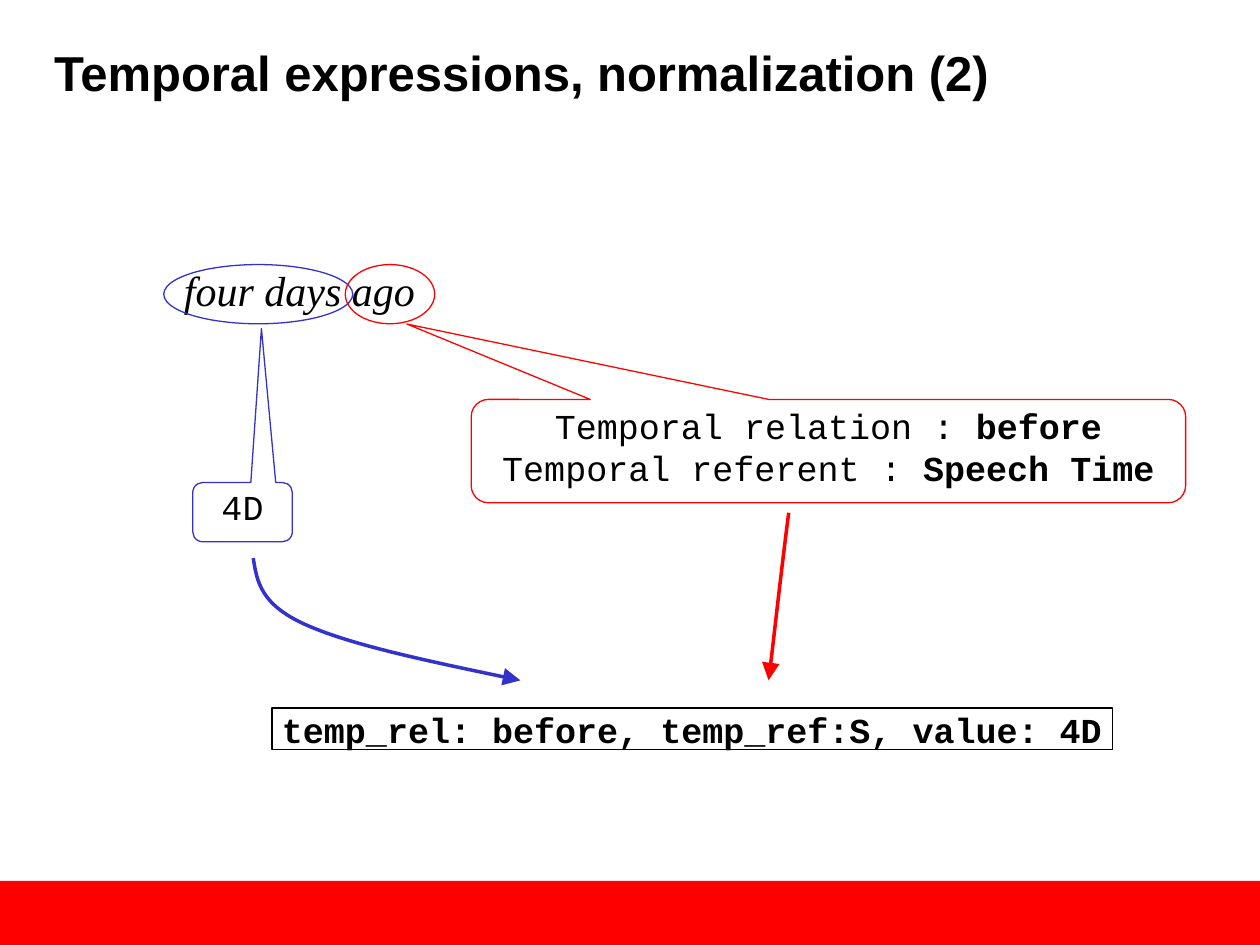
from lxml import etree
from pptx import Presentation
from pptx.dml.color import RGBColor
from pptx.enum.shapes import MSO_SHAPE as Shape
from pptx.enum.text import MSO_ANCHOR as Anchor, PP_ALIGN as Align
from pptx.oxml.ns import qn
from pptx.util import Inches, Pt

BLACK = RGBColor(0x00, 0x00, 0x00)
RED = RGBColor(0xFF, 0x00, 0x00)
BLUE = RGBColor(0x33, 0x33, 0xCC)


def write_text(frame, paragraphs, font="Courier New", size=20, bold=False,
               italic=False, align=Align.CENTER, margins=(0, 0)):
    """Each paragraph is a list of (text, is_bold) pairs or a plain string."""
    frame.word_wrap = True
    frame.vertical_anchor = Anchor.TOP
    frame.margin_left = frame.margin_right = Inches(margins[0])
    frame.margin_top = frame.margin_bottom = Inches(margins[1])
    for index, parts in enumerate(paragraphs):
        para = frame.paragraphs[0] if index == 0 else frame.add_paragraph()
        para.alignment = align
        if isinstance(parts, str):
            parts = [(parts, bold)]
        for text, is_bold in parts:
            span = para.add_run()
            span.text = text
            span.font.name = font
            span.font.size = Pt(size)
            span.font.bold = is_bold
            span.font.italic = italic
            span.font.color.rgb = BLACK


def add_outline(page, kind, box, color, adjustments=()):
    shape = page.shapes.add_shape(kind, *map(Inches, box))
    shape.shadow.inherit = False
    shape.fill.background()
    shape.line.color.rgb = color
    shape.line.width = Pt(0.75)
    for index, value in enumerate(adjustments):
        shape.adjustments[index] = value
    return shape


def add_curved_arrow(page, points, color):
    """Draw Bezier segments: a start point, then three points per segment."""
    points = [(Inches(x), Inches(y)) for x, y in points]
    builder = page.shapes.build_freeform(*points[0])
    builder.add_line_segments(points[1:], close=False)
    arrow = builder.convert_to_shape()
    arrow.shadow.inherit = False
    arrow.fill.background()
    arrow.line.color.rgb = color
    arrow.line.width = Pt(2)

    # Turn every three straight segments into one cubic curve
    outline = arrow._element.find(".//" + qn("a:path"))
    steps = outline.findall(qn("a:lnTo"))
    for first in range(0, len(steps), 3):
        curve = etree.SubElement(outline, qn("a:cubicBezTo"))
        for step in steps[first:first + 3]:
            curve.append(step[0])
            outline.remove(step)

    line = arrow.line._get_or_add_ln()
    etree.SubElement(line, qn("a:tailEnd"), type="triangle", w="lg", len="lg")


def add_title(page, box):
    title = page.shapes.title
    title.left, title.top, title.width, title.height = map(Inches, box)
    write_text(title.text_frame, ["Temporal expressions, normalization (2)"],
               font="Arial", size=28, bold=True, align=Align.LEFT,
               margins=(0.1, 0.05))
    title.text_frame.paragraphs[0].line_spacing = 0.93


def add_footer_bar(page, box):
    bar = add_outline(page, Shape.RECTANGLE, box, RED)
    bar.fill.solid()
    bar.fill.fore_color.rgb = RED
    bar.line.fill.background()


def add_expression(page, box):
    left, top, width, height = box
    # The text box is slightly wider than the phrase, to keep it on one line
    phrase = page.shapes.add_textbox(
        Inches(left + 0.16), Inches(top), Inches(1.9), Inches(0.4))
    write_text(phrase.text_frame, ["four days ago"], font="Times New Roman",
               size=24, italic=True, align=Align.LEFT)
    # Overlapping ellipses around the duration and the direction
    add_outline(page, Shape.OVAL, (left, top, 1.5, height), BLUE)
    add_outline(page, Shape.OVAL, (left + width - 0.71, top, 0.71, height), RED)


def add_callout(page, box, color, pointer, paragraphs):
    callout = add_outline(page, Shape.ROUNDED_RECTANGULAR_CALLOUT, box, color,
                          (*pointer, 0.167))
    write_text(callout.text_frame, paragraphs)


def add_result(page, box):
    result = add_outline(page, Shape.RECTANGLE, box, BLACK)
    write_text(result.text_frame, ["temp_rel: before, temp_ref:S, value: 4D"],
               bold=True)


def main():
    deck = Presentation()
    deck.slide_width, deck.slide_height = Inches(10), Inches(7.5)
    page = deck.slides.add_slide(deck.slide_layouts[5])

    add_footer_bar(page, (0, 6.99, 10, 0.51))
    add_title(page, (0.33, 0.33, 9.16, 0.77))
    add_expression(page, (1.3, 2.1, 2.15, 0.47))

    # Meaning of each part of the expression
    add_callout(page, (1.53, 3.83, 0.79, 0.47), BLUE, (0.19, -3.1), ["4D"])
    add_callout(page, (3.74, 3.17, 5.67, 0.82), RED, (-0.59, -1.23), [
        [("Temporal relation : ", False), ("before", True)],
        [("Temporal referent : ", False), ("Speech Time", True)],
    ])

    # Arrows down to the normalized value
    add_curved_arrow(page, [(6.26, 4.07), (6.19, 4.62), (6.13, 5.18),
                            (6.1, 5.4)], RED)
    add_curved_arrow(page, [(2.01, 4.43), (2.04, 4.62), (2.07, 4.8),
                            (2.43, 4.96), (2.79, 5.12), (3.46, 5.26),
                            (4.13, 5.4)], BLUE)
    add_result(page, (2.16, 5.62, 6.67, 0.33))

    deck.save("out.pptx")


if __name__ == "__main__":
    main()
